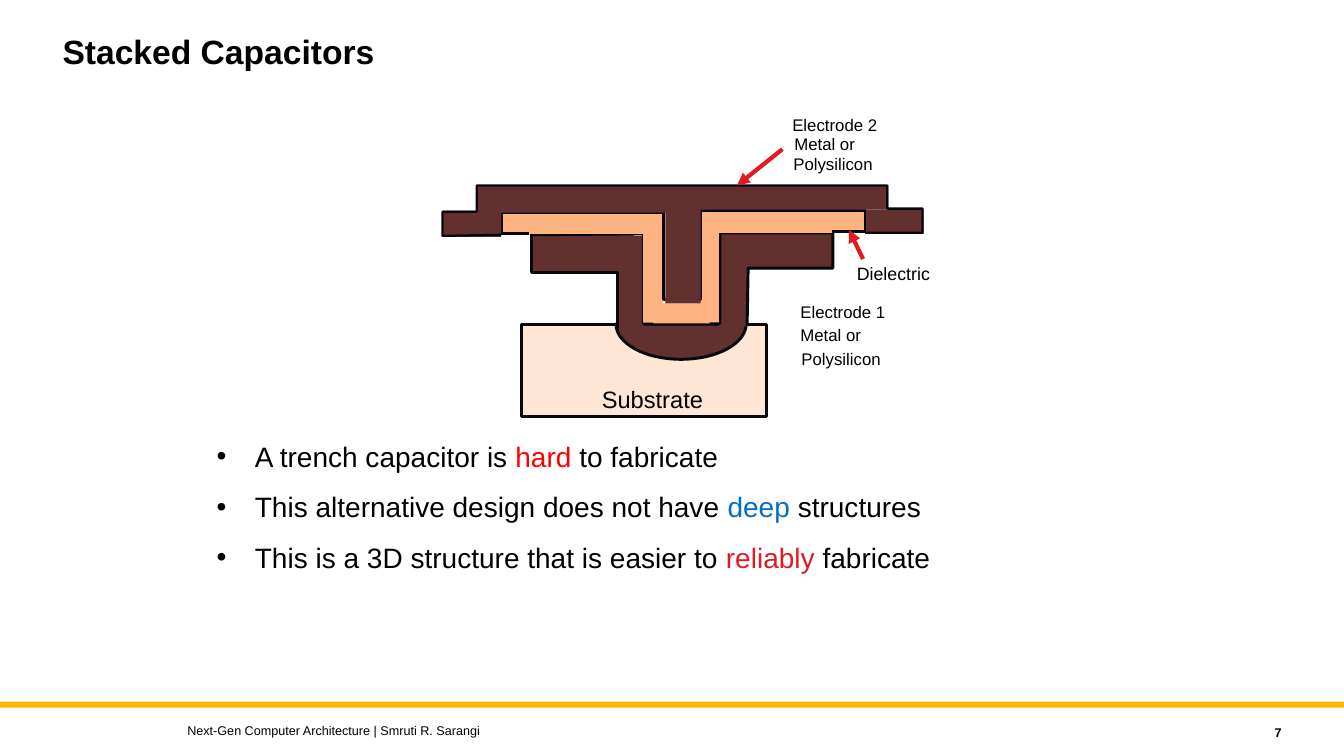
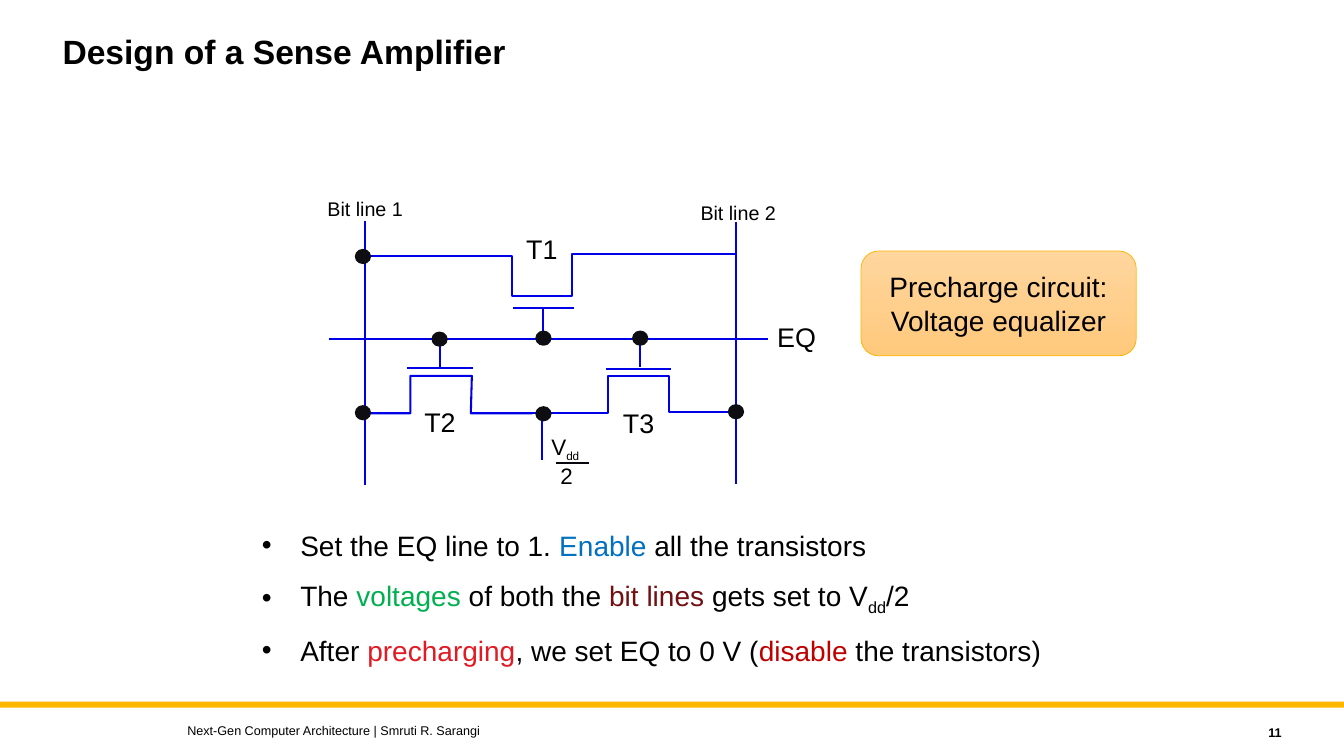
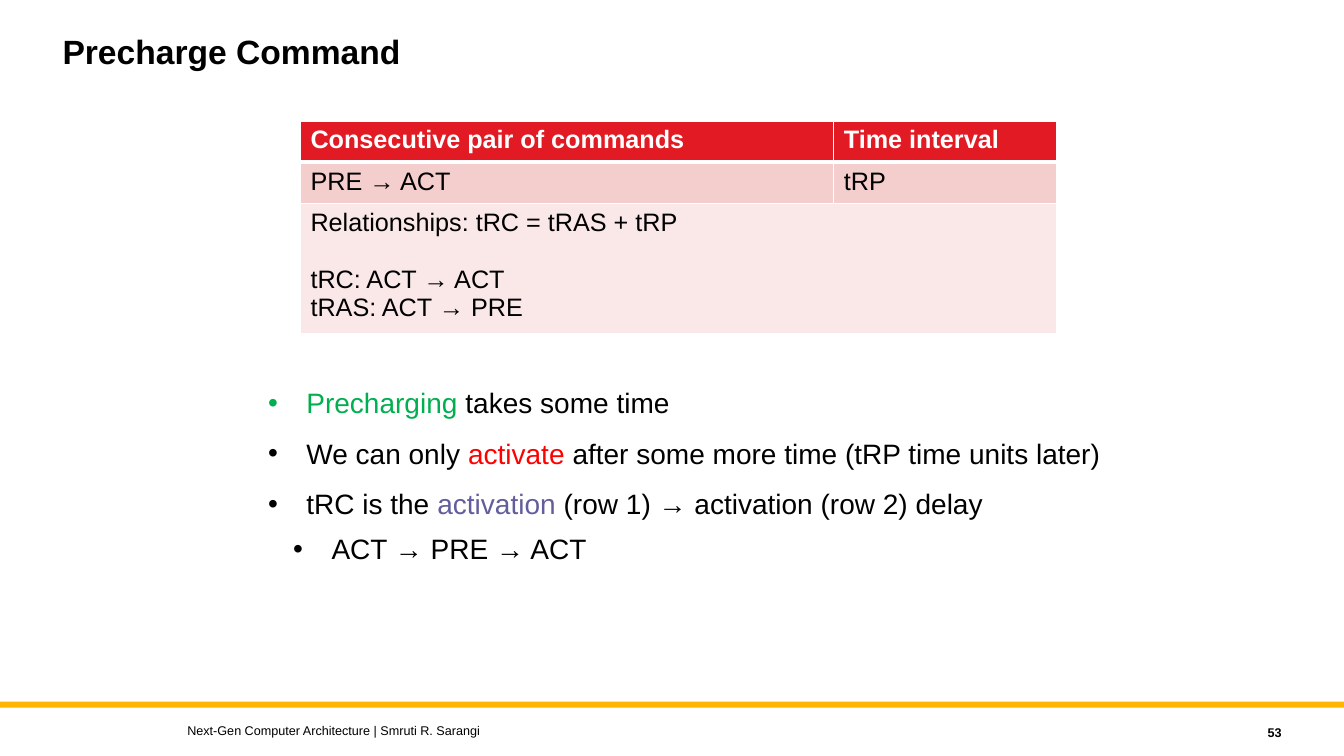
import math
from dataclasses import dataclass
from typing import Any

from lxml import etree
from pptx import Presentation
from pptx.dml.color import RGBColor
from pptx.enum import shapes, text
from pptx.oxml import ns
from pptx.util import Inches, Pt

FONT = "Arial"
BLACK = RGBColor(0x00, 0x00, 0x00)
WHITE = RGBColor(0xFF, 0xFF, 0xFF)
AMBER = RGBColor(0xFF, 0xB6, 0x00)
RED = RGBColor(0xE2, 0x1A, 0x23)
BRIGHT_RED = RGBColor(0xFF, 0x00, 0x00)
DARK_RED = RGBColor(0xC0, 0x00, 0x00)
MAROON = RGBColor(0x72, 0x0F, 0x11)
BLUE = RGBColor(0x00, 0x70, 0xC0)
GREEN = RGBColor(0x00, 0xB0, 0x50)
PURPLE = RGBColor(0x62, 0x5D, 0x9C)
SUBSTRATE = RGBColor(0xFF, 0xE6, 0xD5)
ELECTRODE = RGBColor(0x61, 0x30, 0x2F)
DIELECTRIC = RGBColor(0xFF, 0xB3, 0x80)
OUTLINE = RGBColor(0x07, 0x07, 0x10)
WIRE = RGBColor(0x00, 0x00, 0xE8)
DOT = RGBColor(0x0E, 0x0D, 0x11)
PALE_ORANGE = RGBColor(0xFF, 0xD6, 0x9E)
SOFT_ORANGE = RGBColor(0xFF, 0xC9, 0x7C)
ROW_PINK = RGBColor(0xF4, 0xCD, 0xCD)
ROW_PALE = RGBColor(0xFA, 0xE8, 0xE8)
WIRE_WEIGHT = 1.47
SHELL_WEIGHT = 2.11


def child(parent, tag, **attributes):
    return etree.SubElement(parent, ns.qn(tag), attributes)


def write_text(para, words, size=20, color=BLACK, bold=False, baseline=0):
    span = para.add_run()
    span.text = words
    span.font.name = FONT
    span.font.size = Pt(size)
    span.font.bold = bold
    span.font.color.rgb = color
    if baseline:
        span._r.get_or_add_rPr().set("baseline", str(baseline * 1000))


def paint(shape, fill=None, line=None, weight=1.0):
    shape.shadow.inherit = False
    if fill is None:
        shape.fill.background()
    else:
        shape.fill.solid()
        shape.fill.fore_color.rgb = fill
    if line is None:
        shape.line.fill.background()
    else:
        shape.line.color.rgb = line
        shape.line.width = Pt(weight)


@dataclass
class Region:
    shapes: Any
    left: float = 0
    top: float = 0

    def at(self, x, y):
        return Inches(self.left + x), Inches(self.top + y)

    def block(self, x, y, width, height, kind=shapes.MSO_SHAPE.RECTANGLE, **look):
        shape = self.shapes.add_shape(kind, *self.at(x, y), Inches(width), Inches(height))
        paint(shape, **look)
        return shape

    def outline(self, points, close=False, **look):
        start, *rest = [self.at(*point) for point in points]
        builder = self.shapes.build_freeform(*start)
        builder.add_line_segments(rest, close=close)
        paint(builder.convert_to_shape(), **look)

    def line(self, start, end, color, weight, arrow=False):
        connector = self.shapes.add_connector(
            shapes.MSO_CONNECTOR.STRAIGHT, *self.at(*start), *self.at(*end))
        connector.line.color.rgb = color
        connector.line.width = Pt(weight)
        if arrow:
            child(connector.line._get_or_add_ln(), "a:tailEnd", type="triangle")
        child(connector._element.spPr, "a:effectLst")

    def box(self, x, y, width, height, wrap=True, anchor=text.MSO_ANCHOR.TOP):
        box = self.shapes.add_textbox(*self.at(x, y), Inches(width), Inches(height))
        box.text_frame.word_wrap = wrap
        box.text_frame.vertical_anchor = anchor
        return box.text_frame

    def label(self, words, x, y, width, height, **look):
        frame = self.box(x, y, width, height, wrap=False)
        write_text(frame.paragraphs[0], words, **look)
        return frame


def add_page(deck, title, number):
    page = deck.slides.add_slide(deck.slide_layouts[5])
    region = Region(page.shapes)
    region.block(0, 6.96, 13.33, 0.06, fill=AMBER)
    heading = page.shapes.title
    heading.left, heading.top = Inches(0.52), Inches(0.3)
    heading.width, heading.height = Inches(10), Inches(0.9)
    heading.text_frame.vertical_anchor = text.MSO_ANCHOR.TOP
    heading.text_frame.auto_size = text.MSO_AUTO_SIZE.NONE
    para = heading.text_frame.paragraphs[0]
    para.alignment = text.PP_ALIGN.LEFT
    para.line_spacing = 0.9
    write_text(para, title, size=24, bold=True)
    footer = region.box(1.76, 7.12, 8, 0.25, anchor=text.MSO_ANCHOR.MIDDLE)
    write_text(footer.paragraphs[0], "Next-Gen Computer Architecture | Smruti R. Sarangi", size=9)
    counter = region.box(11.41, 7.14, 1.4, 0.25, anchor=text.MSO_ANCHOR.MIDDLE)
    counter.paragraphs[0].alignment = text.PP_ALIGN.RIGHT
    write_text(counter.paragraphs[0], str(number), size=9, bold=True)
    return page


def add_bullets(page, left, top, width, height, items, nested=()):
    frame = Region(page.shapes, left, top).box(0, 0, width, height)
    for index, spans in enumerate(items):
        para = frame.add_paragraph() if index else frame.paragraphs[0]
        deep = index in nested
        properties = para._p.get_or_add_pPr()
        properties.set("marL", str(Inches(0.63 if deep else 0.38)))
        properties.set("indent", str(Inches(-0.38)))
        child(properties, "a:buFont", typeface=FONT)
        child(properties, "a:buChar", char="•")
        if deep:
            para.level = 1
        if index:
            para.space_before = Pt(8 if deep else 12)
        for words, look in spans:
            write_text(para, words, **look)


def plain(words):
    return words, {}


def tinted(words, color):
    return words, {"color": color}


def draw_capacitor(page, left, top):
    region = Region(page.shapes, left, top)
    shell = {"line": OUTLINE, "weight": SHELL_WEIGHT}
    region.block(1.17, 2.22, 2.43, 0.91, fill=SUBSTRATE, **shell)
    steps = 32
    bowl = [(2.755 + 0.645 * math.cos(math.pi * step / steps),
             2.215 + 0.35 * math.sin(math.pi * step / steps)) for step in range(steps + 1)]
    region.outline(bowl, close=True, fill=ELECTRODE, **shell)

    lower_electrode = [(1.26, 1.33, 1.03, 0.37), (2.12, 1.34, 0.27, 0.91),
                       (3.22, 1.3, 1.04, 0.37), (3.13, 1.31, 0.28, 0.93)]
    lower_edges = [
        [(1.27, 1.3), (1.27, 1.7), (2.12, 1.7), (2.12, 2.27)],
        [(1.27, 1.33), (2.38, 1.32), (2.38, 2.21), (3.14, 2.21), (3.14, 1.31),
         (4.26, 1.31), (4.26, 1.66), (3.42, 1.66), (3.41, 2.23)]]
    dielectric = [(2.38, 1.31, 0.2, 0.89), (0.97, 1.12, 1.61, 0.2), (2.96, 1.1, 1.61, 0.21),
                  (2.93, 1.24, 0.2, 0.96), (2.48, 2.01, 0.56, 0.2)]
    dielectric_edges = [
        [(1.25, 1.32), (0.97, 1.32), (0.97, 1.11), (2.58, 1.11), (2.58, 1.97),
         (2.95, 1.97), (2.95, 1.09), (4.58, 1.09), (4.58, 1.3), (4.25, 1.3)]]
    upper_electrode = [(0.39, 1.09, 0.58, 0.26), (4.59, 1.08, 0.57, 0.24),
                       (2.6, 0.84, 0.35, 1.17), (2.92, 0.84, 1.89, 0.24),
                       (0.73, 0.84, 1.89, 0.27)]
    upper_edges = [
        [(0.97, 1.33), (0.39, 1.34), (0.39, 1.1), (0.73, 1.1), (0.73, 0.84),
         (4.8, 0.84), (4.8, 1.07), (5.15, 1.07), (5.15, 1.31), (4.58, 1.31)]]
    for blocks, fill, edges, weight in (
            (lower_electrode, ELECTRODE, lower_edges, SHELL_WEIGHT),
            (dielectric, DIELECTRIC, dielectric_edges, SHELL_WEIGHT),
            (upper_electrode, ELECTRODE, upper_edges, 1.62)):
        for block in blocks:
            region.block(*block, fill=fill)
        for edge in edges:
            region.outline(edge, line=OUTLINE, weight=weight)

    for words, x, y, width, size in (
            ("Electrode 1", 3.84, 1.94, 1.05, 12), ("Metal or", 3.84, 2.17, 0.81, 12),
            ("Polysilicon", 3.85, 2.41, 0.99, 12), ("Electrode 2", 3.76, 0.09, 1.05, 12),
            ("Metal or", 3.78, 0.28, 0.81, 12), ("Polysilicon", 3.77, 0.48, 0.99, 12),
            ("Dielectric", 4.4, 1.56, 0.94, 12.7), ("Substrate", 1.87, 2.77, 1.22, 16.9)):
        region.label(words, x, y, width, 0.3, size=size)
    region.line((3.76, 0.48), (3.31, 0.84), RED, 3, arrow=True)
    region.line((4.56, 1.57), (4.42, 1.28), RED, 3, arrow=True)


def draw_sense_amplifier(page, left, top):
    region = Region(page.shapes, left, top)
    bit_lines = [((0.62, 1.19), (0.62, 3.81)), ((4.3, 1.2), (4.3, 3.8))]
    equalize_line = [((0.26, 2.36), (4.62, 2.36))]
    gates = [((2.09, 2.06), (2.69, 2.06)), ((1.04, 2.65), (1.69, 2.65)),
             ((3.01, 2.66), (3.66, 2.66))]
    stems = [((2.39, 2.06), (2.39, 2.36)), ((1.36, 2.64), (1.36, 2.36)),
             ((3.35, 2.64), (3.35, 2.36)), ((2.38, 3.1), (2.38, 3.56))]
    for start, end in bit_lines + equalize_line + gates + stems:
        region.line(start, end, WIRE, WIRE_WEIGHT)
    for channel in (
            [(0.59, 1.54), (2.08, 1.54), (2.08, 1.94), (2.67, 1.94), (2.67, 1.52), (4.29, 1.52)],
            [(0.6, 3.1), (1.07, 3.1), (1.07, 2.73), (1.68, 2.73), (1.67, 3.1), (2.28, 3.1)],
            [(2.26, 3.1), (3.03, 3.1), (3.03, 2.73), (3.64, 2.73), (3.64, 3.09), (4.29, 3.09)]):
        region.outline(channel, line=WIRE, weight=WIRE_WEIGHT)
    for x, y in ((2.39, 2.35), (0.6, 1.54), (0.6, 3.09), (4.3, 3.08),
                 (2.39, 3.1), (1.36, 2.36), (3.35, 2.35)):
        region.block(x - 0.07, y - 0.06, 0.14, 0.13, kind=shapes.MSO_SHAPE.OVAL,
                     fill=DOT, line=DOT, weight=WIRE_WEIGHT)
    for words, x, y, width, height, size in (
            ("Bit line 1", 0.15, 0.9, 0.96, 0.34, 14.1),
            ("Bit line 2", 3.85, 0.94, 0.96, 0.34, 14.1),
            ("T1", 2.12, 1.26, 0.52, 0.42, 19.2), ("T2", 1.11, 2.97, 0.52, 0.42, 19.2),
            ("T3", 3.08, 2.98, 0.52, 0.42, 19.2), ("EQ", 4.61, 2.13, 0.59, 0.42, 19.2)):
        region.label(words, x, y, width, height, size=size)

    fraction = Region(page.shapes.add_group_shape().shapes, left, top)
    numerator = fraction.label("V", 2.37, 3.25, 0.5, 0.37, size=16)
    write_text(numerator.paragraphs[0], "dd", size=14.4, baseline=-26)
    fraction.line((2.51, 3.59), (2.84, 3.59), OUTLINE, WIRE_WEIGHT)
    fraction.label("2", 2.46, 3.54, 0.33, 0.37, size=16)


def add_callout(page, left, top, width, height, lines):
    callout = Region(page.shapes, left, top).block(
        0, 0, width, height, kind=shapes.MSO_SHAPE.ROUNDED_RECTANGLE, line=AMBER, weight=0.5)
    callout.fill.gradient()
    callout.fill.gradient_angle = 270
    for stop, color in zip(callout.fill.gradient_stops, (PALE_ORANGE, SOFT_ORANGE)):
        stop.color.rgb = color
    frame = callout.text_frame
    frame.vertical_anchor = text.MSO_ANCHOR.MIDDLE
    for index, words in enumerate(lines):
        para = frame.add_paragraph() if index else frame.paragraphs[0]
        para.alignment = text.PP_ALIGN.CENTER
        write_text(para, words)


def border_cell(cell, bottom):
    properties = cell._tc.get_or_add_tcPr()
    for side, weight in (("L", 1), ("R", 1), ("T", 1), ("B", bottom)):
        edge = child(properties, "a:ln" + side, w=str(Pt(weight)))
        child(child(edge, "a:solidFill"), "a:srgbClr", val=str(WHITE))


def add_timing_table(page, left, top, columns, heights):
    rows = [
        (RED, [["Consecutive pair of commands"], ["Time interval"]]),
        (ROW_PINK, [["PRE → ACT"], ["tRP"]]),
        (ROW_PALE, [["Relationships: tRC = tRAS + tRP", "tRC: ACT → ACT", "tRAS: ACT → PRE"], []])]
    table = page.shapes.add_table(len(rows), len(columns), Inches(left), Inches(top),
                                  Inches(sum(columns)), Inches(sum(heights))).table
    table.horz_banding = False
    for column, width in zip(table.columns, columns):
        column.width = Inches(width)
    for row, height in zip(table.rows, heights):
        row.height = Inches(height)
    table.cell(2, 0).merge(table.cell(2, 1))
    for row_index, (fill, cells) in enumerate(rows):
        header = row_index == 0
        for column_index, lines in enumerate(cells):
            cell = table.cell(row_index, column_index)
            border_cell(cell, 3 if header else 1)
            cell.fill.solid()
            cell.fill.fore_color.rgb = fill
            for index, words in enumerate(lines):
                para = cell.text_frame.add_paragraph() if index else cell.text_frame.paragraphs[0]
                if index == 1:
                    para.space_before = Pt(20.7)
                write_text(para, words, size=18, bold=header, color=WHITE if header else BLACK)


def main():
    deck = Presentation()
    deck.slide_width, deck.slide_height = Inches(13.33), Inches(7.5)

    page = add_page(deck, "Stacked Capacitors", 7)
    draw_capacitor(page, 4, 1)
    add_bullets(page, 2.05, 4.31, 8.86, 2.5, [
        [plain("A trench capacitor is "), tinted("hard", BRIGHT_RED), plain(" to fabricate")],
        [plain("This alternative design does not have "), tinted("deep", BLUE),
         plain(" structures")],
        [plain("This is a 3D structure that is easier to "), tinted("reliably", RED),
         plain(" fabricate")]])

    page = add_page(deck, "Design of a Sense Amplifier", 11)
    draw_sense_amplifier(page, 3, 1)
    add_bullets(page, 2.5, 5.19, 8.3, 1.53, [
        [plain("Set the EQ line to 1. "), tinted("Enable", BLUE), plain(" all the transistors")],
        [plain("The "), tinted("voltages", GREEN), plain(" of both the "),
         tinted("bit lines ", MAROON), plain("gets set to V"), ("dd", {"baseline": -25}),
         plain("/2")],
        [plain("After "), tinted("precharging", RED), plain(", we set EQ to 0 V ("),
         tinted("disable", DARK_RED), plain(" the transistors)")]])
    add_callout(page, 8.54, 2.49, 2.73, 1.04, ["Precharge circuit:", "Voltage equalizer"])

    page = add_page(deck, "Precharge Command", 53)
    add_bullets(page, 2.56, 3.78, 8.58, 2.02, [
        [tinted("Precharging", GREEN), plain(" takes some time")],
        [plain("We can only "), tinted("activate", BRIGHT_RED),
         plain(" after some more time (tRP time units later)")],
        [plain("tRC is the "), tinted("activation", PURPLE),
         plain(" (row 1) → activation (row 2) delay")],
        [plain("ACT → PRE → ACT")]], nested=(3,))
    add_timing_table(page, 2.98, 1.2, (5.29, 2.21), (0.41, 0.41, 1.22))

    deck.save("out.pptx")


if __name__ == "__main__":
    main()
